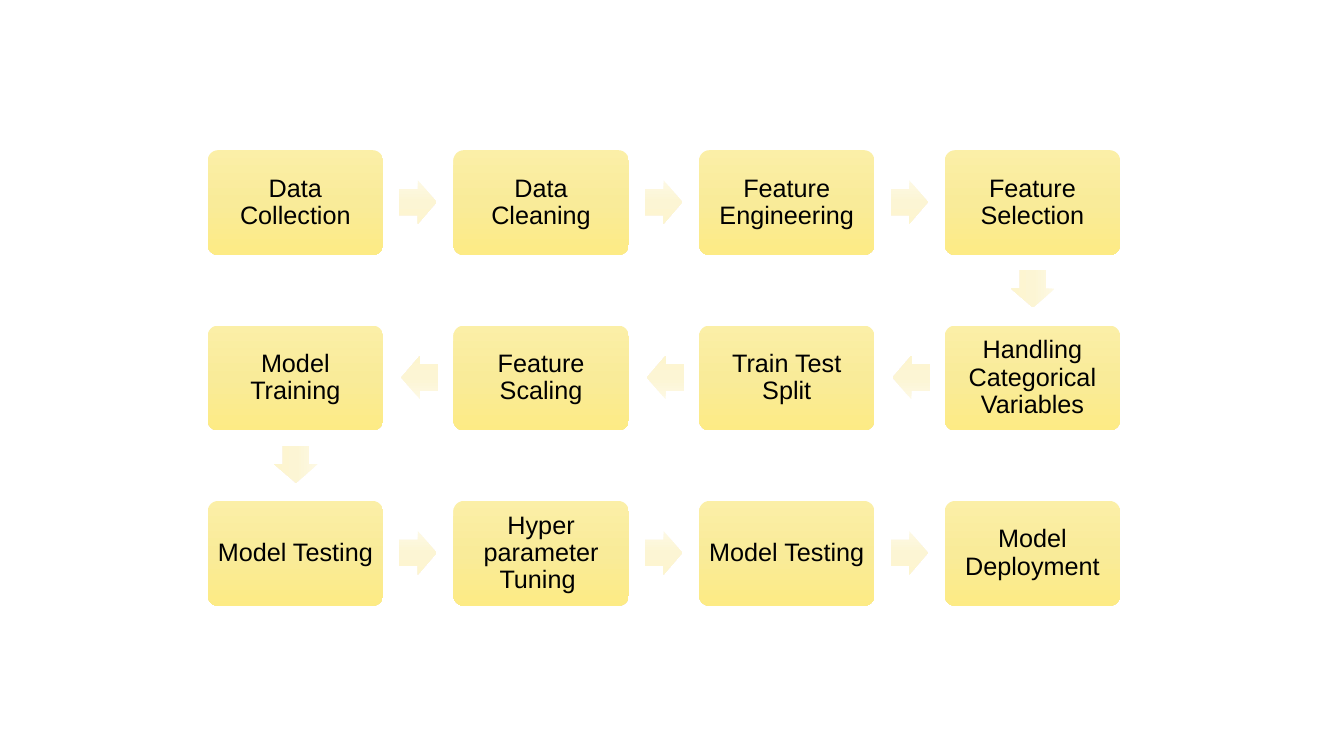
from copy import deepcopy

from pptx import Presentation
from pptx.dml.color import RGBColor
from pptx.enum.shapes import MSO_SHAPE
from pptx.enum.text import MSO_ANCHOR, PP_ALIGN
from pptx.oxml.ns import qn
from pptx.util import Inches, Pt

# Steps in grid order; the flow runs right, then left, then right
STEPS = [
    ["Data Collection", "Data Cleaning", "Feature Engineering", "Feature Selection"],
    ["Model Training", "Feature Scaling", "Train Test Split",
     "Handling Categorical Variables"],
    ["Model Testing", "Hyper parameter Tuning ", "Model Testing", "Model Deployment"],
]
LEFT, TOP = 2.06, 1.49
COLUMN_PITCH, ROW_PITCH = (9.37 - 2.06) / 3, 1.74
BOX_WIDTH, BOX_HEIGHT = 1.74, 1.04
ARROW_WIDTH, ARROW_HEIGHT = 0.37, 0.43
BOX_COLOURS = ["FBEFA7", "F9EB99", "FDEB85"]
ARROW_COLOURS = ["FDF9E4", "FCF5D4", "FDF5CE"]

# Rotation and offset from the corner of the box on the arrow's left or above it
RIGHT = (0, 1.9, 0.3)
BACK = (180, 1.92, 0.3)
DOWN = (90, 0.69, 1.16)


def colour(value):
    return RGBColor.from_string(value)


def corner(row, column):
    return LEFT + column * COLUMN_PITCH, TOP + row * ROW_PITCH


def add_gradient_shape(page, kind, left, top, width, height, adjustments, colours):
    shape = page.shapes.add_shape(
        kind, Inches(left), Inches(top), Inches(width), Inches(height))
    shape.shadow.inherit = False
    shape.line.fill.background()
    for index, value in enumerate(adjustments):
        shape.adjustments[index] = value
    # Vertical gradient with a third stop in the middle
    shape.fill.gradient()
    shape.fill.gradient_angle = 270
    stops = shape._element.spPr.find(qn("a:gradFill")).find(qn("a:gsLst"))
    stops.insert(1, deepcopy(stops[0]))
    for stop, position, value in zip(shape.fill.gradient_stops, (0, 0.5, 1), colours):
        stop.position = position
        stop.color.rgb = colour(value)
    return shape


def add_step(page, row, column, text):
    left, top = corner(row, column)
    box = add_gradient_shape(page, MSO_SHAPE.ROUNDED_RECTANGLE, left, top,
                             BOX_WIDTH, BOX_HEIGHT, [0.1], BOX_COLOURS)
    frame = box.text_frame
    frame.word_wrap = True
    frame.vertical_anchor = MSO_ANCHOR.MIDDLE
    frame.margin_left = frame.margin_right = Inches(0.07)
    frame.margin_top = frame.margin_bottom = Inches(0.07)
    para = frame.paragraphs[0]
    para.text = text
    para.alignment = PP_ALIGN.CENTER
    para.line_spacing = 0.9
    para.font.name = "Arial"
    para.font.size = Pt(18)
    para.font.color.rgb = colour("000000")


def add_arrow(page, row, column, direction):
    rotation, across, below = direction
    left, top = corner(row, column)
    arrow = add_gradient_shape(page, MSO_SHAPE.RIGHT_ARROW, left + across, top + below,
                               ARROW_WIDTH, ARROW_HEIGHT, [0.6, 0.5], ARROW_COLOURS)
    arrow.rotation = rotation


def main():
    deck = Presentation()
    deck.slide_width, deck.slide_height = Inches(13.33), Inches(7.5)
    page = deck.slides.add_slide(deck.slide_layouts[6])

    # Steps and the arrows within each row
    for row, texts in enumerate(STEPS):
        for column, text in enumerate(texts):
            add_step(page, row, column, text)
            if column < len(texts) - 1:
                add_arrow(page, row, column, BACK if row % 2 else RIGHT)

    # Turns from one row to the next
    add_arrow(page, 0, 3, DOWN)
    add_arrow(page, 1, 0, DOWN)

    deck.save("out.pptx")


if __name__ == "__main__":
    main()
